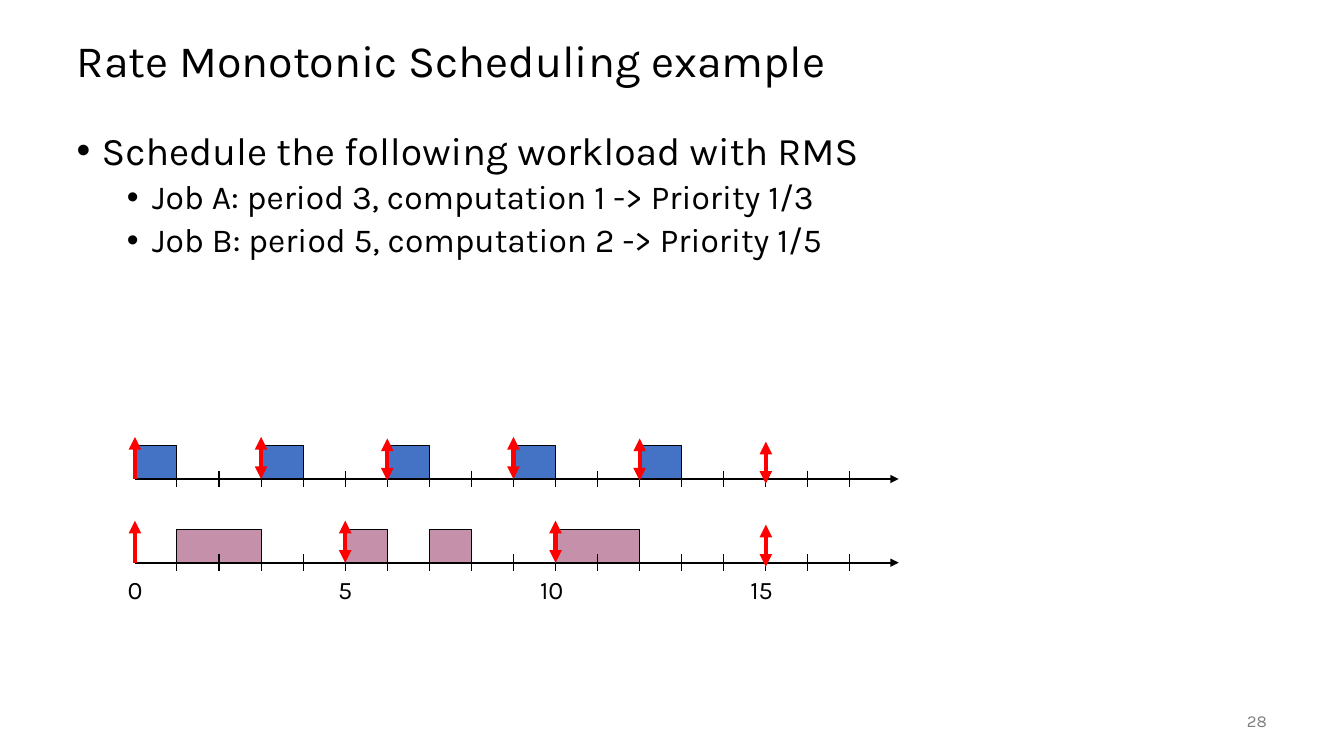
from lxml.etree import SubElement
from pptx import Presentation
from pptx.dml.color import RGBColor
from pptx.enum.shapes import MSO_CONNECTOR, MSO_SHAPE
from pptx.enum.text import MSO_ANCHOR, MSO_AUTO_SIZE, PP_ALIGN
from pptx.oxml.ns import qn
from pptx.util import Cm, Pt

COLORS = {"ink": "000000", "job_a": "4472C4", "job_b": "C490AA", "release": "FF0000", "number": "808080"}
ORIGIN, UNIT, TICKS, AXIS_LENGTH = 3.4, 1.06, 17, 19.25
BLOCK_HEIGHT, TICK_HALF, ARROW_HEIGHT = 0.84, 0.21, 1.06
JOBS = [
    {"color": "job_a", "axis": 12.07,
     "runs": [(start, 1) for start in range(0, 15, 3)],
     "deadlines": {3: 0, 6: 0.04, 9: 0, 12: 0.04, 15: 0.12}},
    {"color": "job_b", "axis": 14.18,
     "runs": [(1, 2), (5, 1), (7, 1), (10, 2)],
     "deadlines": {5: 0, 10: 0, 15: 0.1}},
]
WORKLOAD = [
    ("Schedule the following workload with RMS", 0, 28),
    ("Job A: period 3, computation 1 -> Priority 1/3", 1, 24),
    ("Job B: period 5, computation 2 -> Priority 1/5", 1, 24),
]


def at_time(time):
    return ORIGIN + time * UNIT


def apply(target, formats):
    for name, value in formats.items():
        setattr(target, name, value)


class ScheduleSlide:
    """Draws the parts of a scheduling slide in one shared style."""

    font = "Karla"

    def __init__(self, slide):
        self.slide = slide
        self.shapes = slide.shapes

    def rgb(self, color):
        return RGBColor.from_string(COLORS[color])

    def fill_paragraph(self, paragraph, text, size, color="ink", **formats):
        run = paragraph.add_run()
        run.text = text
        apply(run.font, {"name": self.font, "size": Pt(size)})
        run.font.color.rgb = self.rgb(color)
        apply(paragraph, formats)

    def frame(self, box, anchor):
        apply(box.text_frame, {"word_wrap": True, "auto_size": MSO_AUTO_SIZE.NONE,
                               "vertical_anchor": anchor})
        return box.text_frame

    def title(self, text, left, top, width, height):
        heading = self.shapes.title
        apply(heading, {"left": Cm(left), "top": Cm(top), "width": Cm(width), "height": Cm(height)})
        frame = self.frame(heading, MSO_ANCHOR.MIDDLE)
        self.fill_paragraph(frame.paragraphs[0], text, 32, alignment=PP_ALIGN.LEFT, line_spacing=0.9)

    def text(self, text, left, top, width, height, size, color="ink",
             anchor=MSO_ANCHOR.TOP, **formats):
        box = self.shapes.add_textbox(Cm(left), Cm(top), Cm(width), Cm(height))
        self.fill_paragraph(self.frame(box, anchor).paragraphs[0], text, size, color, **formats)

    def bullets(self, items, left, top, width, height):
        box = self.shapes.add_textbox(Cm(left), Cm(top), Cm(width), Cm(height))
        frame = self.frame(box, MSO_ANCHOR.TOP)
        for index, (text, level, size) in enumerate(items):
            paragraph = frame.add_paragraph() if index else frame.paragraphs[0]
            properties = paragraph._p.get_or_add_pPr()
            properties.set("marL", str(Pt(18 + 36 * level)))
            properties.set("indent", str(-Pt(18)))
            SubElement(properties, qn("a:buFont"), typeface="Arial")
            SubElement(properties, qn("a:buChar"), char="•")
            self.fill_paragraph(paragraph, text, size, level=level, line_spacing=0.9,
                                space_before=Pt(5 if index else 0))

    def block(self, left, top, width, height, color):
        block = self.shapes.add_shape(MSO_SHAPE.RECTANGLE, Cm(left), Cm(top), Cm(width), Cm(height))
        block.shadow.inherit = False
        block.fill.solid()
        block.fill.fore_color.rgb = self.rgb(color)
        block.line.color.rgb = self.rgb("ink")
        block.line.width = Pt(0.75)

    def line(self, start, end, width, color="ink", heads=()):
        line = self.shapes.add_connector(MSO_CONNECTOR.STRAIGHT, *map(Cm, start + end))
        line.line.color.rgb = self.rgb(color)
        line.line.width = Pt(width)
        outline = line._element.spPr.find(qn("a:ln"))
        for head in heads:
            SubElement(outline, qn(f"a:{head}"), type="triangle")
        SubElement(line._element.spPr, qn("a:effectLst"))

    def timeline(self, axis):
        self.line((ORIGIN, axis), (ORIGIN + AXIS_LENGTH, axis), 1.5, heads=["tailEnd"])
        for time in range(1, TICKS + 1):
            self.line((at_time(time), axis - TICK_HALF), (at_time(time), axis + TICK_HALF), 0.75)

    def release(self, time, axis, heads):
        self.line((at_time(time), axis), (at_time(time), axis - ARROW_HEIGHT), 3, "release", heads)


def main():
    deck = Presentation()
    apply(deck, {"slide_width": Cm(33.87), "slide_height": Cm(19.05)})
    page = ScheduleSlide(deck.slides.add_slide(deck.slide_layouts[5]))
    page.title("Rate Monotonic Scheduling example", 1.68, 0.64, 30.48, 1.9)
    page.bullets(WORKLOAD, 1.68, 3.18, 30.48, 13.97)
    page.text("28", 29.64, 17.65, 2.54, 1.02, 12, "number", MSO_ANCHOR.MIDDLE,
              alignment=PP_ALIGN.RIGHT)

    for job in JOBS:
        for start, duration in job["runs"]:
            page.block(at_time(start), job["axis"] - BLOCK_HEIGHT, duration * UNIT,
                       BLOCK_HEIGHT, job["color"])
    for job in JOBS:
        page.timeline(job["axis"])
    for time in range(0, 16, 5):
        label = str(time)
        page.text(label, at_time(time) - 0.22 - 0.21 * len(label), 14.35, 1.7, 1.02, 18)
    for job in JOBS:
        page.release(0, job["axis"], ["tailEnd"])
        for time, drop in job["deadlines"].items():
            page.release(time, job["axis"] + drop, ["headEnd", "tailEnd"])
    deck.save("out.pptx")


if __name__ == "__main__":
    main()
